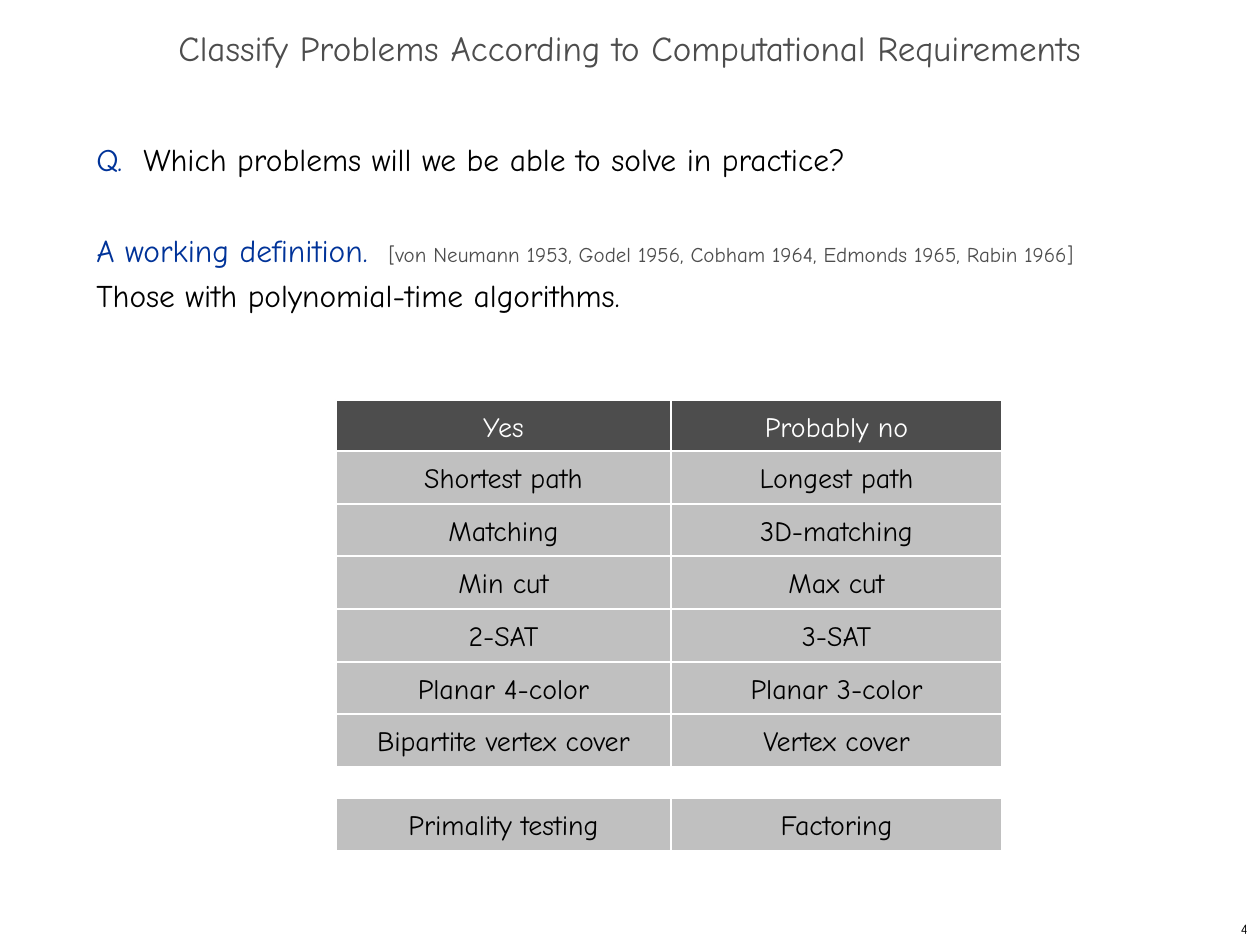
import dataclasses

import pptx
import pptx.dml.color
import pptx.enum.shapes
import pptx.enum.text
import pptx.util

PX_PER_INCH = 126
ALIGN = pptx.enum.text.PP_ALIGN
MIDDLE = pptx.enum.text.MSO_ANCHOR.MIDDLE
RECTANGLE = pptx.enum.shapes.MSO_SHAPE.RECTANGLE


@dataclasses.dataclass(frozen=True)
class Theme:
    """Fonts, type sizes in points and colours of the slide."""
    font: str = "Comic Neue"
    title_size: int = 20
    body_size: int = 18
    cell_size: int = 16
    citation_size: int = 12
    number_size: int = 8
    body_leading: int = 26
    border: float = 0.75
    ink: str = "000000"
    paper: str = "FFFFFF"
    lead: str = "003399"
    muted: str = "4D4D4D"
    cell: str = "C0C0C0"


THEME = Theme()
HEADER = ("Yes", "Probably no")
PROBLEMS = [
    ("Shortest path", "Longest path"),
    ("Matching", "3D-matching"),
    ("Min cut", "Max cut"),
    ("2-SAT", "3-SAT"),
    ("Planar 4-color", "Planar 3-color"),
    ("Bipartite vertex cover", "Vertex cover"),
]
NUMBER_PROBLEMS = [("Primality testing", "Factoring")]


def px(length):
    """Turn whole pixels into EMU."""
    return pptx.util.Emu(length * pptx.util.Inches(1) // PX_PER_INCH)


def rgb(value):
    """Turn a hex string into a colour."""
    return pptx.dml.color.RGBColor.from_string(value)


def style(run, size, color):
    """Give a run its font, size and colour."""
    run.font.name = THEME.font
    run.font.size = pptx.util.Pt(size)
    run.font.color.rgb = rgb(color)


def add_frame(slide, box):
    """Add a wrapping text box and return its text frame."""
    frame = slide.shapes.add_textbox(*map(px, box)).text_frame
    frame.word_wrap = True
    return frame


def write_line(frame, text, size, color, align):
    """Write one line in the middle of a text frame and return its paragraph."""
    frame.vertical_anchor = MIDDLE
    frame.text = text
    line = frame.paragraphs[0]
    line.alignment = align
    style(line.runs[0], size, color)
    return line


def add_title(slide, box):
    """Place the slide title."""
    title = write_line(add_frame(slide, box),
                       "Classify Problems According to Computational Requirements",
                       THEME.title_size, THEME.muted, ALIGN.CENTER)
    title.line_spacing = 0.7


def add_parts(paragraph, parts):
    """Fill a paragraph with differently styled parts of text."""
    paragraph.line_spacing = pptx.util.Pt(THEME.body_leading)
    for text, size, color in parts:
        run = paragraph.add_run()
        run.text = text
        style(run, size, color)


def add_definition(slide, box):
    """Place the question and its working definition."""
    frame = add_frame(slide, box)
    add_parts(frame.paragraphs[0], [
        ("Q.  ", THEME.body_size, THEME.lead),
        ("Which problems will we be able to solve in practice?", THEME.body_size, THEME.ink),
    ])
    definition = frame.add_paragraph()
    definition.space_before = pptx.util.Pt(THEME.body_leading)
    add_parts(definition, [
        ("A working definition.  ", THEME.body_size, THEME.lead),
        ("[von Neumann 1953, Godel 1956, Cobham 1964, Edmonds 1965, Rabin 1966]",
         THEME.citation_size, THEME.muted),
    ])
    definition.add_line_break()
    add_parts(definition, [
        ("Those with polynomial-time algorithms.", THEME.body_size, THEME.ink),
    ])


def add_cell(slide, box, text, fill, color):
    """Place one bordered cell with centred text."""
    cell = slide.shapes.add_shape(RECTANGLE, *map(px, box))
    cell.shadow.inherit = False
    cell.fill.solid()
    cell.fill.fore_color.rgb = rgb(fill)
    cell.line.color.rgb = rgb(THEME.paper)
    cell.line.width = pptx.util.Pt(THEME.border)
    cell.text_frame.word_wrap = False
    write_line(cell.text_frame, text, THEME.cell_size, color, ALIGN.CENTER)


def add_row(slide, box, entries, fill, color):
    """Place a row of two cells, the left one slightly wider."""
    left, top, width, height = box
    yes_width = width // 2 + 2
    columns = ((left, yes_width), (left + yes_width, width - yes_width))
    for text, (cell_left, cell_width) in zip(entries, columns):
        add_cell(slide, (cell_left, top, cell_width, height), text, fill, color)


def add_problem_rows(slide, box, problems):
    """Place equally high rows of problems in a box."""
    left, top, width, height = box
    edges = [top + round(index * height / len(problems)) for index in range(len(problems) + 1)]
    for entries, row_top, row_bottom in zip(problems, edges, edges[1:]):
        add_row(slide, (left, row_top, width, row_bottom - row_top), entries,
                THEME.cell, THEME.ink)


def add_slide_number(slide, box):
    """Place the slide number in the corner."""
    write_line(add_frame(slide, box), "4", THEME.number_size, THEME.ink, ALIGN.RIGHT)


def main():
    """Build the slide and save it."""
    presentation = pptx.Presentation()
    presentation.slide_width = px(1260)
    presentation.slide_height = px(945)
    slide = presentation.slides.add_slide(presentation.slide_layouts[6])
    add_slide_number(slide, (998, 913, 262, 32))
    add_title(slide, (0, 21, 1260, 63))
    add_definition(slide, (84, 126, 1081, 746))
    add_row(slide, (336, 400, 666, 52), HEADER, THEME.muted, THEME.paper)
    add_problem_rows(slide, (336, 451, 666, 316), PROBLEMS)
    add_problem_rows(slide, (336, 798, 666, 53), NUMBER_PROBLEMS)
    presentation.save("out.pptx")


if __name__ == "__main__":
    main()
